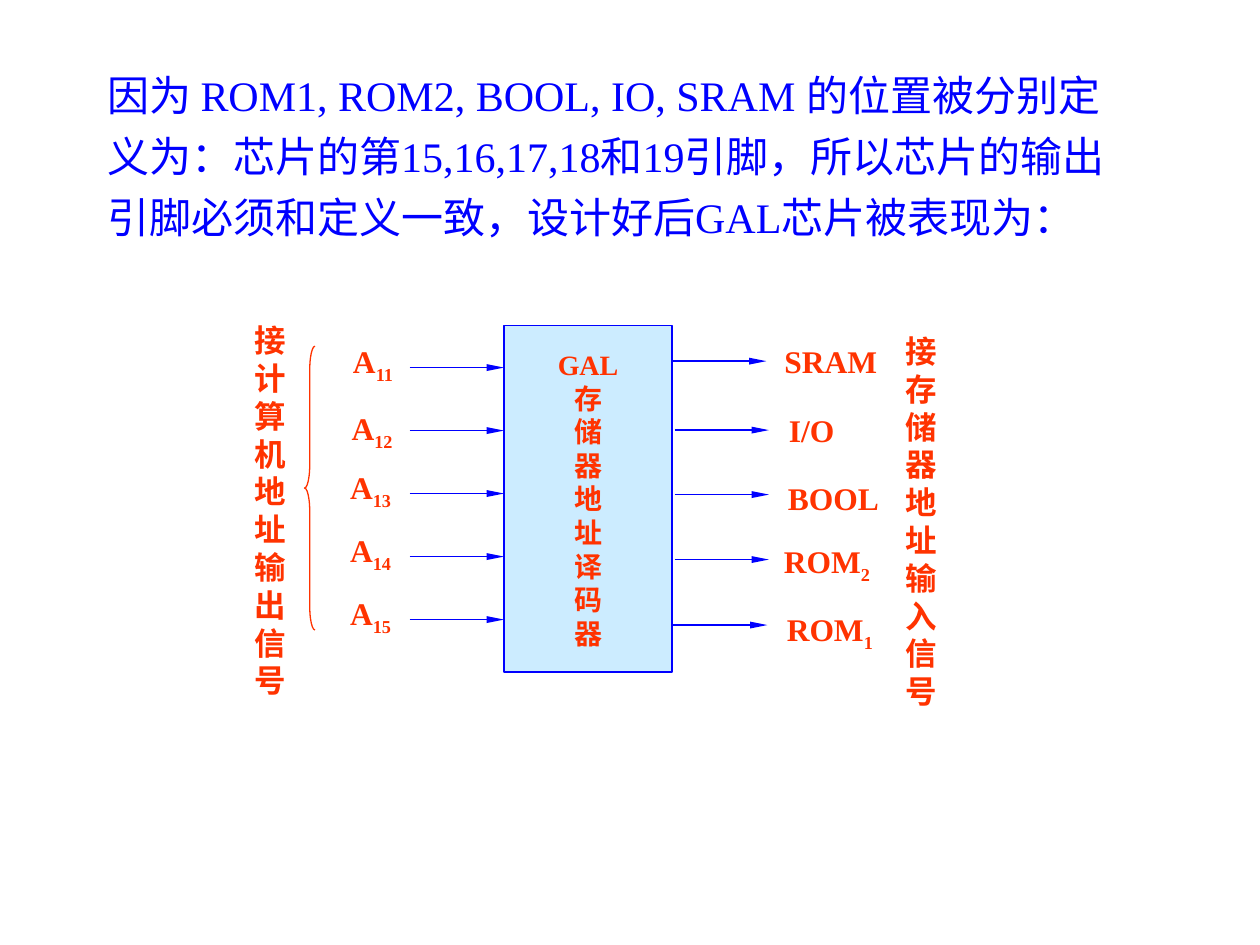
import dataclasses

import pptx
import pptx.dml.color
import pptx.enum.shapes
import pptx.enum.text
import pptx.oxml.ns
import pptx.util
from lxml import etree
from pptx.util import Cm

BLUE = pptx.dml.color.RGBColor(0x00, 0x00, 0xFF)
RED = pptx.dml.color.RGBColor(0xFF, 0x33, 0x00)
PALE_BLUE = pptx.dml.color.RGBColor(0xCC, 0xEC, 0xFF)

ALIGN = pptx.enum.text.PP_ALIGN
SHAPE = pptx.enum.shapes.MSO_SHAPE
LINE_WIDTH = pptx.util.Pt(0.75)
ARROW_LENGTH = 1.9

BODY_FORMAT = {"name": "Times New Roman", "size": pptx.util.Pt(24)}
LABEL_FORMAT = {"name": "Times New Roman", "size": pptx.util.Pt(18), "bold": True}
CHIP_FORMAT = LABEL_FORMAT | {"size": pptx.util.Pt(16)}

INTRODUCTION = (
    "因为 ROM1, ROM2, BOOL, IO, SRAM 的位置被分别定",
    "义为：芯片的第15,16,17,18和19引脚，所以芯片的输出",
    "引脚必须和定义一致，设计好后GAL芯片被表现为：",
)
CHIP_LINES = ("GAL", *"存储器地址译码器")


@dataclasses.dataclass
class Area:
    """A rectangle in centimetres."""
    left: float
    top: float
    width: float
    height: float

    def lengths(self) -> list[Cm]:
        return [Cm(value) for value in dataclasses.astuple(self)]


@dataclasses.dataclass
class Pin:
    """A signal with its label area and the start of its arrow."""
    name: str
    subscript: str
    label: Area
    arrow_left: float
    arrow_top: float


@dataclasses.dataclass
class Column:
    """A caption that runs downwards, one character a line."""
    text: str
    area: Area


INPUT_LABELS = ((6.82, 6.78), (6.8, 8.12), (6.77, 9.32), (6.77, 10.59), (6.77, 11.86))
INPUTS = [
    Pin("A", str(11 + row), Area(left, top, 1.4, 1.12), 8.26, 7.41 + 1.27 * row)
    for row, (left, top) in enumerate(INPUT_LABELS)
]
OUTPUTS = [
    Pin("SRAM", "", Area(15.53, 6.78, 2.44, 1.02), 13.55, 7.28),
    Pin("I/O", "", Area(15.61, 8.17, 1.5, 1.02), 13.6, 8.67),
    Pin("BOOL", "", Area(15.59, 9.53, 2.42, 1.02), 13.6, 9.97),
    Pin("ROM", "2", Area(15.51, 10.8, 2.32, 1.12), 13.6, 11.28),
    Pin("ROM", "1", Area(15.57, 12.17, 2.32, 1.12), 13.57, 12.6),
]
COLUMNS = [
    Column("接计算机地址输出信号", Area(4.88, 6.35, 1.14, 7.87)),
    Column("接存储器地址输入信号", Area(18.01, 6.57, 1.14, 7.87)),
]


def apply(target, values: dict) -> None:
    for name, value in values.items():
        setattr(target, name, value)


def add_span(para, text: str, style: dict, color):
    span = para.add_run()
    span.text = text
    apply(span.font, style)
    span.font.color.rgb = color
    return span


def write_lines(frame, lines, style: dict, color, align, gap: float = 0) -> None:
    for index, text in enumerate(lines):
        para = frame.add_paragraph() if index else frame.paragraphs[0]
        para.alignment = align
        if index and gap:
            para.space_before = pptx.util.Pt(gap)
        add_span(para, text, style, color)


def add_label_box(slide, area: Area):
    box = slide.shapes.add_textbox(*area.lengths())
    apply(box.text_frame, {
        "word_wrap": False,
        "auto_size": pptx.enum.text.MSO_AUTO_SIZE.SHAPE_TO_FIT_TEXT,
    })
    return box.text_frame


def add_introduction(slide) -> None:
    box = slide.shapes.add_textbox(*Area(1.91, 1.27, 21.59, 16.08).lengths())
    box.text_frame.word_wrap = True
    write_lines(box.text_frame, INTRODUCTION, BODY_FORMAT, BLUE, ALIGN.LEFT, gap=6)


def add_outline(slide, kind, area: Area, color):
    shape = slide.shapes.add_shape(kind, *area.lengths())
    shape.shadow.inherit = False
    shape.line.color.rgb = color
    shape.line.width = LINE_WIDTH
    return shape


def add_chip(slide) -> None:
    chip = add_outline(slide, SHAPE.RECTANGLE, Area(10.16, 6.56, 3.39, 6.99), BLUE)
    chip.fill.solid()
    chip.fill.fore_color.rgb = PALE_BLUE
    apply(chip.text_frame, {
        "word_wrap": False,
        "vertical_anchor": pptx.enum.text.MSO_ANCHOR.MIDDLE,
    })
    write_lines(chip.text_frame, CHIP_LINES, CHIP_FORMAT, RED, ALIGN.CENTER)


def add_brace(slide) -> None:
    brace = add_outline(slide, SHAPE.LEFT_BRACE, Area(6.14, 6.98, 0.21, 5.72), RED)
    brace.fill.background()
    brace.adjustments[0] = 2.25


def add_pin(slide, pin: Pin) -> None:
    arrow = slide.shapes.add_connector(
        pptx.enum.shapes.MSO_CONNECTOR.STRAIGHT,
        Cm(pin.arrow_left), Cm(pin.arrow_top),
        Cm(pin.arrow_left + ARROW_LENGTH), Cm(pin.arrow_top),
    )
    arrow.line.color.rgb = BLUE
    arrow.line.width = LINE_WIDTH
    etree.SubElement(arrow.line._get_or_add_ln(), pptx.oxml.ns.qn("a:tailEnd"),
                     type="triangle", w="sm", len="lg")
    etree.SubElement(arrow._element.spPr, pptx.oxml.ns.qn("a:effectLst"))

    para = add_label_box(slide, pin.label).paragraphs[0]
    para.alignment = ALIGN.CENTER
    add_span(para, pin.name, LABEL_FORMAT, RED)
    if pin.subscript:
        span = add_span(para, pin.subscript, LABEL_FORMAT, RED)
        span._r.get_or_add_rPr().set("baseline", "-25000")


def main() -> None:
    deck = pptx.Presentation()
    deck.slide_width, deck.slide_height = Cm(25.4), Cm(19.05)
    page = deck.slides.add_slide(deck.slide_layouts[6])
    add_introduction(page)
    add_chip(page)
    for pin in INPUTS + OUTPUTS:
        add_pin(page, pin)
    add_brace(page)
    for column in COLUMNS:
        frame = add_label_box(page, column.area)
        write_lines(frame, column.text, LABEL_FORMAT, RED, ALIGN.CENTER)
    deck.save("out.pptx")


if __name__ == "__main__":
    main()
